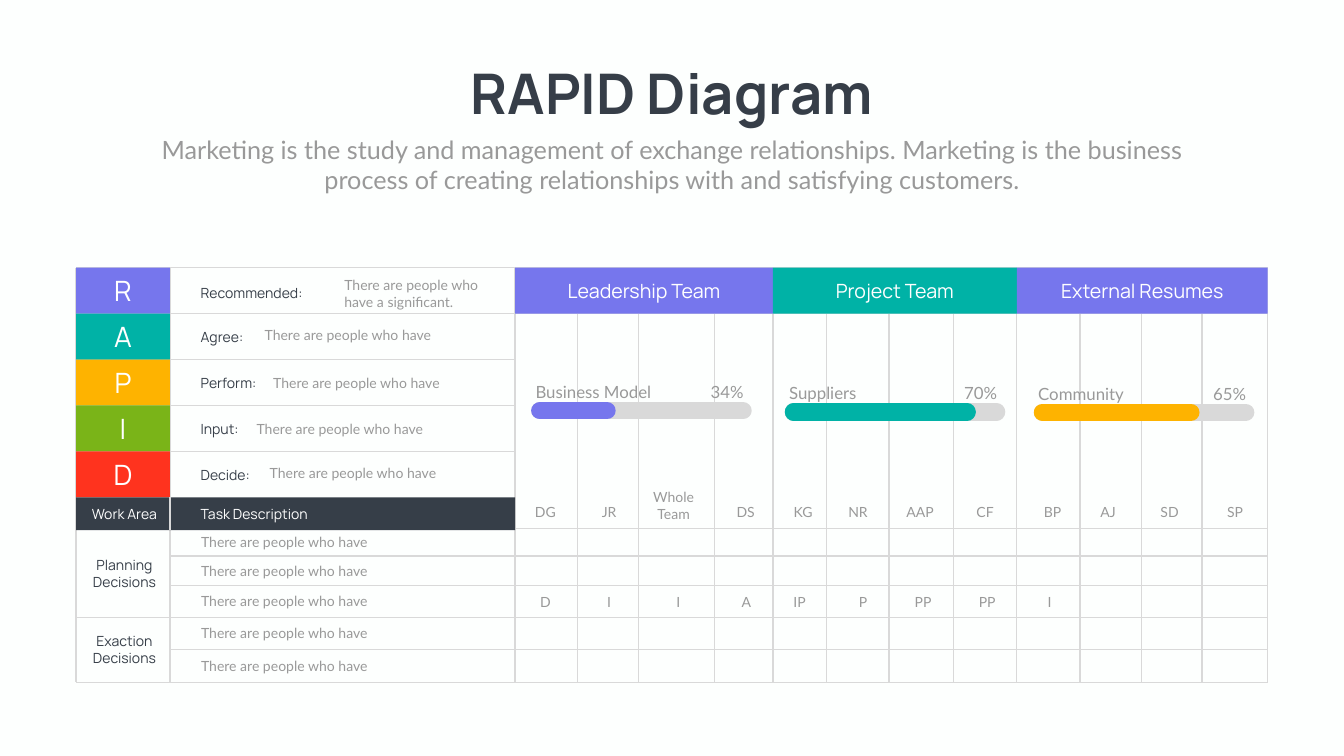
from collections import namedtuple
from dataclasses import dataclass

from lxml.etree import SubElement
from pptx import Presentation
from pptx.dml.color import RGBColor
from pptx.enum.shapes import MSO_CONNECTOR, MSO_SHAPE
from pptx.enum.text import MSO_ANCHOR, MSO_AUTO_SIZE, PP_ALIGN as Align
from pptx.oxml.ns import qn
from pptx.util import Pt

Box = namedtuple("Box", "left top width height")
Style = namedtuple("Style", "font size color")


@dataclass(frozen=True)
class Theme:
    paper: str = "FDFFFE"
    white: str = "FFFFFF"
    dark: str = "363E48"
    gray: str = "999999"
    rule: str = "D9D9D9"
    violet: str = "7676ED"
    teal: str = "00B2A6"
    amber: str = "FEB300"
    green: str = "7AB418"
    red: str = "FF331E"
    title: Style = Style("Manrope", 80, dark)
    intro: Style = Style("Lato", 36, gray)
    letter: Style = Style("Manrope", 40, white)
    team: Style = Style("Manrope", 28, white)
    meter: Style = Style("Lato", 24, gray)
    heading: Style = Style("Manrope", 20, white)
    label: Style = Style("Manrope", 20, dark)
    body: Style = Style("Lato", 20, gray)


THEME = Theme()
NOTE = "There are people who have"
ROW = 65.6
LINE_BOX = 32
# Column edges of the matrix; every fourth one bounds a team.
COLUMNS = [735.8, 824.4, 912.2, 1020.2, 1103.8, 1180.8, 1269.4,
           1361.5, 1452.2, 1542.2, 1630.1, 1716.5, 1810.5]
TASK_EDGES = [755.3, 794.2, 836.6, 882, 928, 975]
GRID = Box(108.7, 382.5, 1701.8, 592.5)
SPLIT = 242.6
LEGEND = [  # letter, colour, label, note, note left, note offset
    ("R", THEME.violet, "Recommended:", NOTE.replace("who have", "who have a significant."), 484.6, 8.5),
    ("A", THEME.teal, "Agree:", NOTE, 370.8, 14.2),
    ("P", THEME.amber, "Perform:", NOTE, 383, 17.5),
    ("I", THEME.green, "Input:", NOTE, 359.3, 17.5),
    ("D", THEME.red, "Decide:", NOTE, 378, 15.4),
]
TEAMS = [("Leadership Team", THEME.violet), ("Project Team", THEME.teal),
         ("External Resumes", THEME.violet)]
MEMBERS = [("DG", 779), ("JR", 870), ("Whole Team", 962), ("DS", 1065),
           ("KG", 1147), ("NR", 1225.5), ("AAP", 1314), ("CF", 1407),
           ("BP", 1503.4), ("AJ", 1582.6), ("SD", 1670.4), ("SP", 1764)]
ROLES = [("D", 779), ("I", 870), ("I", 969), ("A", 1066), ("IP", 1142),
         ("P", 1232.6), ("PP", 1318.3), ("PP", 1410), ("I", 1499)]
METERS = [  # left, line height, name, value, filled share, colour
    (771.1, 586.8, "Business Model", "34%", 0.33, THEME.violet),
    (1133.3, 588.5, "Suppliers", "70%", 0.855, THEME.teal),
    (1489, 589, "Community", "65%", 0.73, THEME.amber),
]


def rgb(color):
    return RGBColor.from_string(color)


def place(shape, box):
    shape.left, shape.top, shape.width, shape.height = map(Pt, box)


def write(shape, text, style, align, anchor=MSO_ANCHOR.TOP, bold=False, spacing=None):
    frame = shape.text_frame
    frame.text = text
    frame.word_wrap = True
    frame.auto_size = MSO_AUTO_SIZE.NONE
    frame.vertical_anchor = anchor
    para = frame.paragraphs[0]
    para.alignment = align
    if spacing:
        para.line_spacing = Pt(spacing)
    font = para.runs[0].font
    font.name, font.size, font.bold = style.font, Pt(style.size), bold
    font.color.rgb = rgb(style.color)


def add_text(page, box, text, style, align=Align.LEFT, **options):
    write(page.shapes.add_textbox(*map(Pt, box)), text, style, align, **options)


def add_block(page, box, color, text=None, style=None):
    block = page.shapes.add_shape(MSO_SHAPE.RECTANGLE, *map(Pt, box))
    block.shadow.inherit = False
    block.fill.solid()
    block.fill.fore_color.rgb = rgb(color)
    block.line.fill.background()
    if text:
        write(block, text, style, Align.CENTER, MSO_ANCHOR.MIDDLE)


def add_line(page, x1, y1, x2, y2, color=THEME.rule, width=2, cap="flat"):
    line = page.shapes.add_connector(MSO_CONNECTOR.STRAIGHT, *map(Pt, (x1, y1, x2, y2)))
    line.line.color.rgb = rgb(color)
    line.line.width = Pt(width)
    properties = line._element.spPr
    properties.find(qn("a:ln")).set("cap", cap)
    SubElement(properties, qn("a:effectLst"))


def add_header(page, box):
    title = page.shapes.title
    place(title, Box(box.left, box.top, box.width, 104.4))
    write(title, "RAPID Diagram", THEME.title, Align.CENTER, bold=True)
    add_text(page, Box(box.left, box.top + 107.3, box.width, 94.3),
             "Marketing is the study and management of exchange relationships. "
             "Marketing is the business process of creating relationships with "
             "and satisfying customers.", THEME.intro, Align.CENTER)


def add_grid(page, box):
    """Draw the rules that the coloured blocks and the wording sit on."""
    right, bottom = box.left + box.width, box.top + box.height
    for row in range(5):
        y = box.top + row * ROW
        add_line(page, box.left, y, right if row < 2 else COLUMNS[0], y)
    for index, y in enumerate(TASK_EDGES):
        left = {0: COLUMNS[0], 3: box.left, 5: box.left}.get(index, SPLIT)
        add_line(page, left, y, right, y)
    for x in (box.left, SPLIT):
        add_line(page, x, box.top, x, bottom)
    for index, x in enumerate(COLUMNS):
        add_line(page, x, box.top + (ROW if index % 4 else 0), x, bottom)


def add_legend(page, box):
    for row, (letter, color, label, note, note_left, offset) in enumerate(LEGEND):
        top = box.top + row * ROW
        add_block(page, Box(box.left, top, SPLIT - box.left, ROW), color, letter, THEME.letter)
        add_text(page, Box(279.4, top + (18 if row else 20), 192, LINE_BOX), label, THEME.label)
        add_text(page, Box(note_left, top + offset, 234 if row == 0 else 278, LINE_BOX),
                 note, THEME.body)


def add_task_list(page, box):
    add_block(page, box, THEME.dark)
    add_line(page, SPLIT, box.top, SPLIT, box.top + box.height)
    add_text(page, Box(box.left, box.top + 8.5, 138.2, LINE_BOX), "Work Area",
             THEME.heading, Align.CENTER)
    add_text(page, Box(279.4, box.top + 8, 192, LINE_BOX), "Task Description", THEME.heading)
    for top, bottom in zip(TASK_EDGES, TASK_EDGES[1:]):
        add_text(page, Box(280, (top + bottom - LINE_BOX) / 2, 278, LINE_BOX), NOTE, THEME.body)
    for area, top in (("Planning Decisions", 791.3), ("Exaction Decisions", 900.7)):
        add_text(page, Box(box.left, top, 138.2, 55.4), area, THEME.label, Align.CENTER)


def add_teams(page, top):
    for (name, color), left, right in zip(TEAMS, COLUMNS[::4], COLUMNS[4::4]):
        add_block(page, Box(left, top, right - left, ROW), color, name, THEME.team)


def add_codes(page, codes, top):
    for code, center in codes:
        two_lines = " " in code
        width = 112 if two_lines else 55
        add_text(page, Box(center - width / 2, top - (21.6 if two_lines else 0), width, LINE_BOX),
                 code, THEME.body, Align.CENTER)


def add_meter(page, box, name, value, share, color):
    for part, shade in ((1, THEME.rule), (share, color)):
        add_line(page, box.left, box.top, box.left + box.width * part, box.top,
                 shade, width=25, cap="rnd")
    top = box.top - 57
    add_text(page, Box(box.left - 13.3, top, 189.4, 43.2), name, THEME.meter, spacing=40.8)
    add_text(page, Box(box.left + 162.4, top, 135.4, 43.2), value, THEME.meter,
             Align.RIGHT, spacing=40.8)


def main():
    deck = Presentation()
    deck.slide_width, deck.slide_height = Pt(1919.5), Pt(1080)
    page = deck.slides.add_slide(deck.slide_layouts[5])
    page.background.fill.solid()
    page.background.fill.fore_color.rgb = rgb(THEME.paper)
    add_header(page, Box(210.2, 80.6, 1499, 201.6))
    add_grid(page, GRID)
    add_teams(page, GRID.top)
    add_legend(page, GRID)
    add_task_list(page, Box(GRID.left, GRID.top + 5 * ROW, COLUMNS[0] - GRID.left, 46.8))
    add_codes(page, MEMBERS, 716.4)
    add_codes(page, ROLES, 843.8)
    for left, top, *content in METERS:
        add_meter(page, Box(left, top, 290, 0), *content)
    deck.save("out.pptx")


if __name__ == "__main__":
    main()
